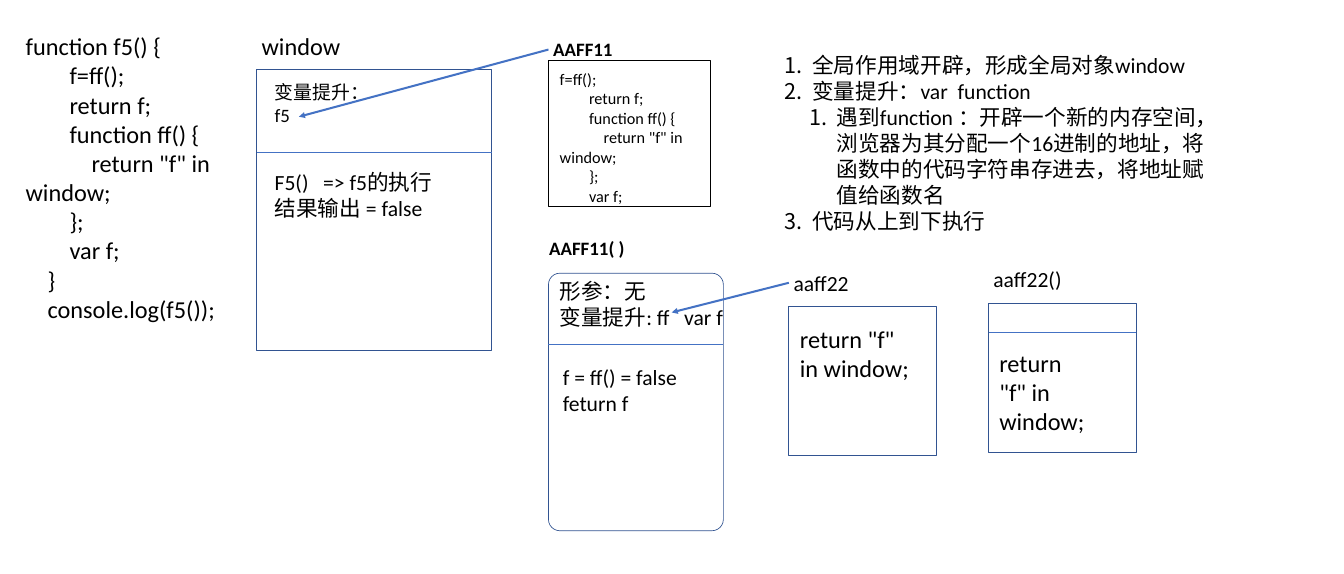
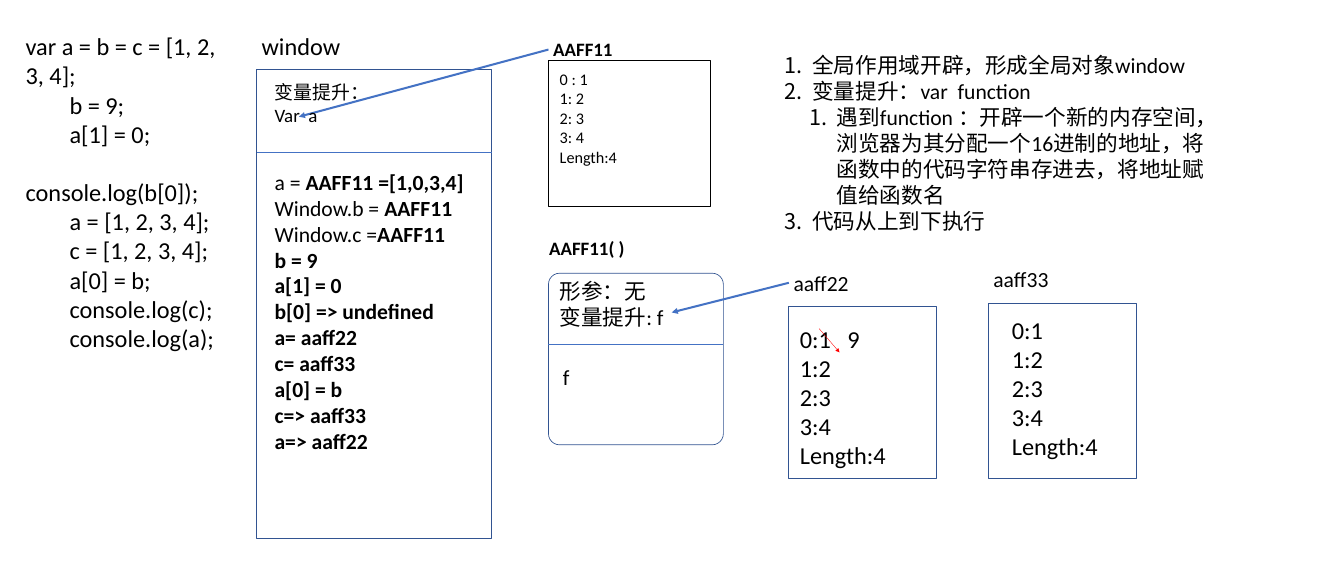
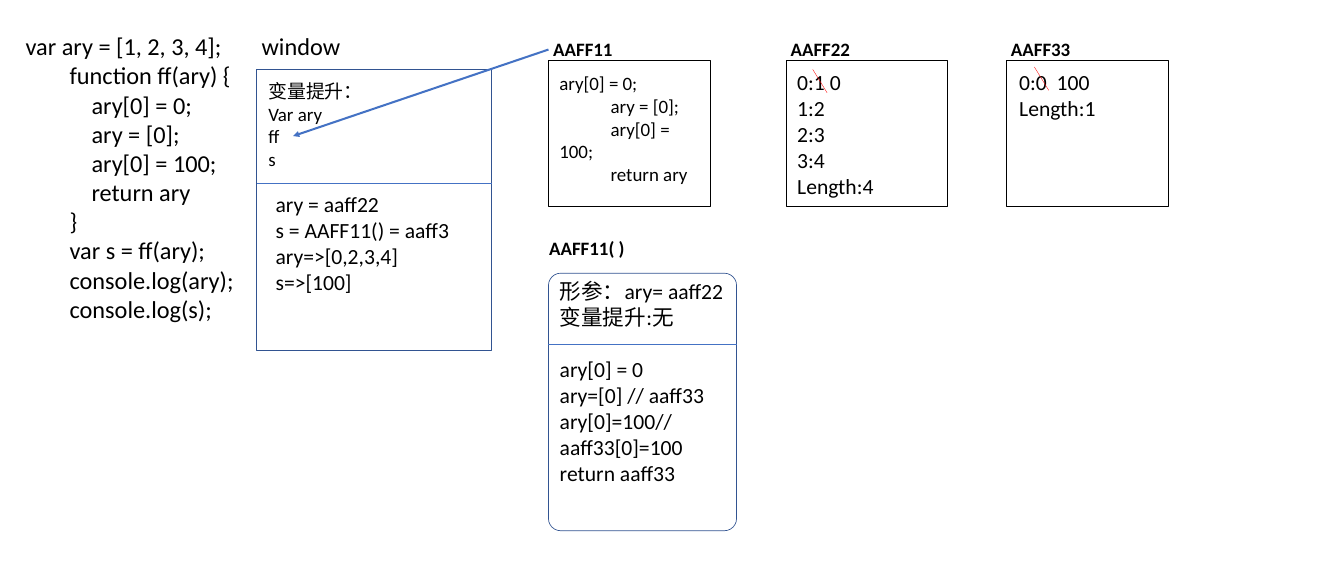
from dataclasses import dataclass

from lxml import etree
from pptx import Presentation, util as u
from pptx.dml.color import RGBColor
from pptx.enum import shapes, text
from pptx.oxml import ns


@dataclass(frozen=True)
class Theme:
    """Hold the colours, font and type sizes of all slides."""
    font: str = "Calibri"
    ink: str = "000000"
    edge: str = "325491"
    rule: str = "4472C4"
    mark: str = "FF0000"
    paper: str = "FFFFFF"
    small: int = 24
    note: int = 28
    body: int = 32
    code: int = 36
    row: float = 1.2
    blank: float = 0.226


T = Theme()
CODE, WIN, HEAP, CALL = 1.09, 13.42, 28.66, 29
LEFT, RIGHT = 41.22, 51.66
HOIST = "变量提升："
STEPS = (
    (0, "全局作用域开辟，形成全局对象window"),
    (0, "变量提升：var  function "),
    (1, "遇到function ：开辟一个新的内存空间，浏览器为其分配一个16进制的地址，"
        "将函数中的代码字符串存进去，将地址赋值给函数名"),
    (0, "代码从上到下执行"),
)


def ink(run, size, bold=False):
    """Style one run."""
    run.font.name = T.font
    run.font.size = u.Pt(size)
    run.font.bold = bold
    run.font.color.rgb = RGBColor.from_string(T.ink)


def frame(slide, x, y, w, size, rows, wrap=True):
    """Add an empty text box that is tall enough for its rows."""
    high = u.Pt(rows * size * T.row) + u.Cm(0.25)
    box = slide.shapes.add_textbox(u.Cm(x), u.Cm(y), u.Cm(w), high)
    box.text_frame.word_wrap = wrap
    box.text_frame.auto_size = text.MSO_AUTO_SIZE.SHAPE_TO_FIT_TEXT
    return box.text_frame


def fill(tf, count):
    """Yield the wanted number of paragraphs of a text frame."""
    for at in range(count):
        yield tf.add_paragraph() if at else tf.paragraphs[0]


def write(slide, x, y, w, size, lines, rows=None, bold=False, wrap=True, gap=None):
    """Write lines; leading blanks set the indent, a pair is plain then bold."""
    tf = frame(slide, x, y, w, size, rows or len(lines), wrap)
    for at, (para, line) in enumerate(zip(fill(tf, len(lines)), lines)):
        parts = [(line, bold)] if isinstance(line, str) else zip(line, (False, True))
        for part, heavy in parts:
            words = part.lstrip()
            if not words:
                continue
            lead = len(part) - len(words)
            if lead:
                dent = u.Pt(lead * size * T.blank)
                para._p.get_or_add_pPr().set("indent", str(dent))
            run = para.add_run()
            run.text = words
            ink(run, size, heavy)
        if at == gap:
            para.space_before = u.Pt(size * T.row)


def label(slide, x, y, w, words, size, bold=False):
    """Write a one-line heading above a box."""
    write(slide, x, y, w, size, [words], bold=bold, wrap=False)


def box(slide, x, y, w, h, edge=T.edge, paper=None, curve=None):
    """Draw an outlined box, rounded when a curve is given."""
    kind = shapes.MSO_SHAPE.ROUNDED_RECTANGLE if curve else shapes.MSO_SHAPE.RECTANGLE
    item = slide.shapes.add_shape(kind, u.Cm(x), u.Cm(y), u.Cm(w), u.Cm(h))
    item.shadow.inherit = False
    if curve:
        item.adjustments[0] = curve
    if paper:
        item.fill.solid()
        item.fill.fore_color.rgb = RGBColor.from_string(paper)
    else:
        item.fill.background()
    item.line.color.rgb = RGBColor.from_string(edge)
    item.line.width = u.Pt(1)


def line(slide, start, end, tint=T.rule, width=0.5, arrow=False):
    """Draw a straight line, with an arrowhead at its end if wanted."""
    item = slide.shapes.add_connector(
        shapes.MSO_CONNECTOR.STRAIGHT, *(u.Cm(n) for n in (*start, *end)))
    item.line.color.rgb = RGBColor.from_string(tint)
    item.line.width = u.Pt(width)
    if arrow:
        etree.SubElement(item.line._get_or_add_ln(), ns.qn("a:tailEnd"), type="triangle")
    etree.SubElement(item._element.spPr, ns.qn("a:effectLst"))


def link(slide, start, end):
    """Draw a thick reference arrow."""
    line(slide, start, end, width=3, arrow=True)


def steps(slide):
    """Write the numbered list of steps."""
    tf = frame(slide, 40.77, 2.59, 22.99, T.body, 9)
    for para, (level, words) in zip(fill(tf, len(STEPS)), STEPS):
        para.level = level
        props = para._p.get_or_add_pPr()
        props.set("marL", str(u.Cm(1.43 + 1.27 * level)))
        props.set("indent", str(-u.Cm(1.43)))
        etree.SubElement(props, ns.qn("a:buFont"), typeface="+mj-lt")
        etree.SubElement(props, ns.qn("a:buAutoNum"), type="arabicPeriod")
        run = para.add_run()
        run.text = words
        ink(run, T.body)


def scope(slide, high, split, tip):
    """Draw the window scope and the arrow that points into it."""
    box(slide, WIN, 3.63, 12.28, high)
    label(slide, WIN, 1.52, 4.65, "window", T.code)
    line(slide, (WIN, split), (WIN + 12.28, split))
    link(slide, (HEAP, 2.59), tip)


def heap(slide, x, name, lines, size, inset=0.34, y=3.5, w=8.1, rows=None):
    """Draw a named black memory box."""
    box(slide, x, 3.18, 8.46, 7.62, T.ink, T.paper)
    label(slide, x, 1.85, 3.66, name, T.note, True)
    write(slide, x + inset, y, w, size, lines, rows)


def call(slide, w, high, head, lines, x=29.16, y=18.92, rows=None):
    """Draw the rounded scope of a function call."""
    box(slide, HEAP, 14.28, w, high, curve=0.065)
    label(slide, 28.45, 12.22, 4.5, "AAFF11( )", T.note, True)
    line(slide, (HEAP, 17.98), (HEAP + w, 17.98))
    write(slide, CALL, 14.4, 11.05, T.body, head)
    write(slide, x, y, 8.13, T.body, lines, rows)


def cell(slide, x, y, high, name, lines, at, w=3.45, rows=None):
    """Draw a named blue memory box, its text placed at an offset."""
    box(slide, x, y, 7.72, high)
    label(slide, x, y - 2.06, w, name, T.body)
    write(slide, x + at[0], y + at[1], 6.27, T.code, lines, rows)


def closure(slide):
    """Build the slide on a function inside a function."""
    write(slide, CODE, 1.52, 11, T.code, [
        "function f5() {", " " * 8 + "f=ff();", " " * 8 + "return f;",
        " " * 8 + "function ff() {", " " * 12 + 'return "f" in window;',
        " " * 8 + "};", " " * 8 + "var f;", "    }", "    console.log(f5());"], 10)
    scope(slide, 14.66, 7.95, (15.62, 6.1))
    write(slide, 14.1, 4.11, 11.6, T.note, [HOIST, "f5 "])
    write(slide, 14.1, 8.69, 8.92, T.body, ["F5()   => f5的执行结果输出 = false"], 2)
    heap(slide, HEAP, "AAFF11", [
        "f=ff();", " " * 8 + "return f;", " " * 8 + "function ff() {",
        " " * 12 + 'return "f" in window;', " " * 8 + "};", " " * 8 + "var f;"],
        T.small, rows=8)
    steps(slide)
    call(slide, 9.14, 13.46, ["形参：无", "变量提升: ff   var f "],
         ["f = ff() = false", "feturn f"])
    cell(slide, LEFT, 16.03, 7.77, "aaff22", ['return "f" in window;'], (0.33, 0.78), rows=2)
    link(slide, (LEFT, 14.78), (35.1, 16.33))
    cell(slide, RIGHT, 15.85, 7.77, "aaff22()", ["return ", '"f" in window;'],
         (0.31, 2.21), 4.14, 3)
    line(slide, (RIGHT, 17.37), (RIGHT + 7.72, 17.37))


def arrays(slide):
    """Build the slide on arrays that share an address."""
    write(slide, CODE, 1.52, 11.56, T.code, [
        "var a = b = c = [1, 2, 3, 4];", " " * 8 + "b = 9;", " " * 8 + "a[1] = 0;",
        "console.log(b[0]);", " " * 8 + "a = [1, 2, 3, 4];",
        " " * 8 + "c = [1, 2, 3, 4];", " " * 8 + "a[0] = b;",
        " " * 8 + "console.log(c);", " " * 8 + "console.log(a);"], 10, gap=3)
    scope(slide, 24.51, 7.95, (15.62, 6.1))
    write(slide, 14.1, 4.11, 11.6, T.note, [HOIST, "Var  a"])
    write(slide, 14.1, 8.69, 10.59, T.body, [
        ("a = ", "AAFF11 =[1,0,3,4]"), ("Window.b = ", "AAFF11"),
        ("Window.c =", "AAFF11"), ("", "b = 9 "), ("", "a[1] = 0"),
        ("", "b[0] => undefined"), ("", "a= aaff22"), ("", "c= aaff33"),
        ("", "a[0] = b"), ("", "c=> aaff33"), ("", "a=> aaff22")])
    heap(slide, HEAP, "AAFF11", ["0 : 1", "1: 2 ", "2: 3 ", "3: 4", "Length:4"], T.small)
    steps(slide)
    call(slide, 9.14, 8.97, ["形参：无", "变量提升: f "], ["f"])
    rest = ["1:2", "2:3", "3:4", "Length:4"]
    cell(slide, LEFT, 16.03, 8.97, "aaff22", ["0:1   9", *rest], (0.33, 0.78))
    link(slide, (LEFT, 14.78), (35.1, 16.33))
    cell(slide, RIGHT, 15.85, 9.17, "aaff33", ["0:1", *rest], (0.97, 0.48))
    line(slide, (42.8, 17.17), (43.87, 18.42), T.mark, arrow=True)


def params(slide):
    """Build the slide on an array passed to a function."""
    write(slide, CODE, 1.52, 11.56, T.code, [
        "var ary = [1, 2, 3, 4];", " " * 8 + "function ff(ary) {",
        " " * 12 + "ary[0] = 0;", " " * 12 + "ary = [0];",
        " " * 12 + "ary[0] = 100;", " " * 12 + "return ary", " " * 8 + "}",
        " " * 8 + "var s = ff(ary);", " " * 8 + "console.log(ary);",
        " " * 8 + "console.log(s);"])
    scope(slide, 14.66, 9.58, (15.32, 7.11))
    write(slide, 13.77, 4.04, 11.6, T.note, [HOIST, "Var ary ", "ff", "s"])
    write(slide, 14.15, 9.86, 11.56, T.body, [
        "ary = aaff22", "s = AAFF11() = aaff3", "ary=>[0,2,3,4]", "s=>[100]"])
    heap(slide, HEAP, "AAFF11", [
        "ary[0] = 0;", " " * 12 + "ary = [0];", " " * 12 + "ary[0] = 100;",
        " " * 12 + "return ary"], T.note, 0.32, 3.63, 7.54, 5)
    call(slide, 9.83, 13.46, ["形参：ary= aaff22", "变量提升:无"], [
        "ary[0] = 0", "ary=[0] // aaff33", "ary[0]=100// aaff33[0]=100",
        "return aaff33"], CALL, 18.47, 5)
    heap(slide, 41.07, "AAFF22", ["0:1 0", "1:2", "2:3", "3:4", "Length:4"], T.body)
    heap(slide, 52.58, "AAFF33", ["0:0  100", "Length:1"], T.body, 0.43)
    for x, y in ((42.47, 3.63), (54.05, 3.5)):
        line(slide, (x, y), (x + 0.75, y + 1.22), T.mark)


def main():
    """Build and save the slides."""
    deck = Presentation()
    deck.slide_width, deck.slide_height = u.Cm(70.23), u.Cm(30)
    for build in (closure, arrays, params):
        build(deck.slides.add_slide(deck.slide_layouts[6]))
    deck.save("out.pptx")


main()
